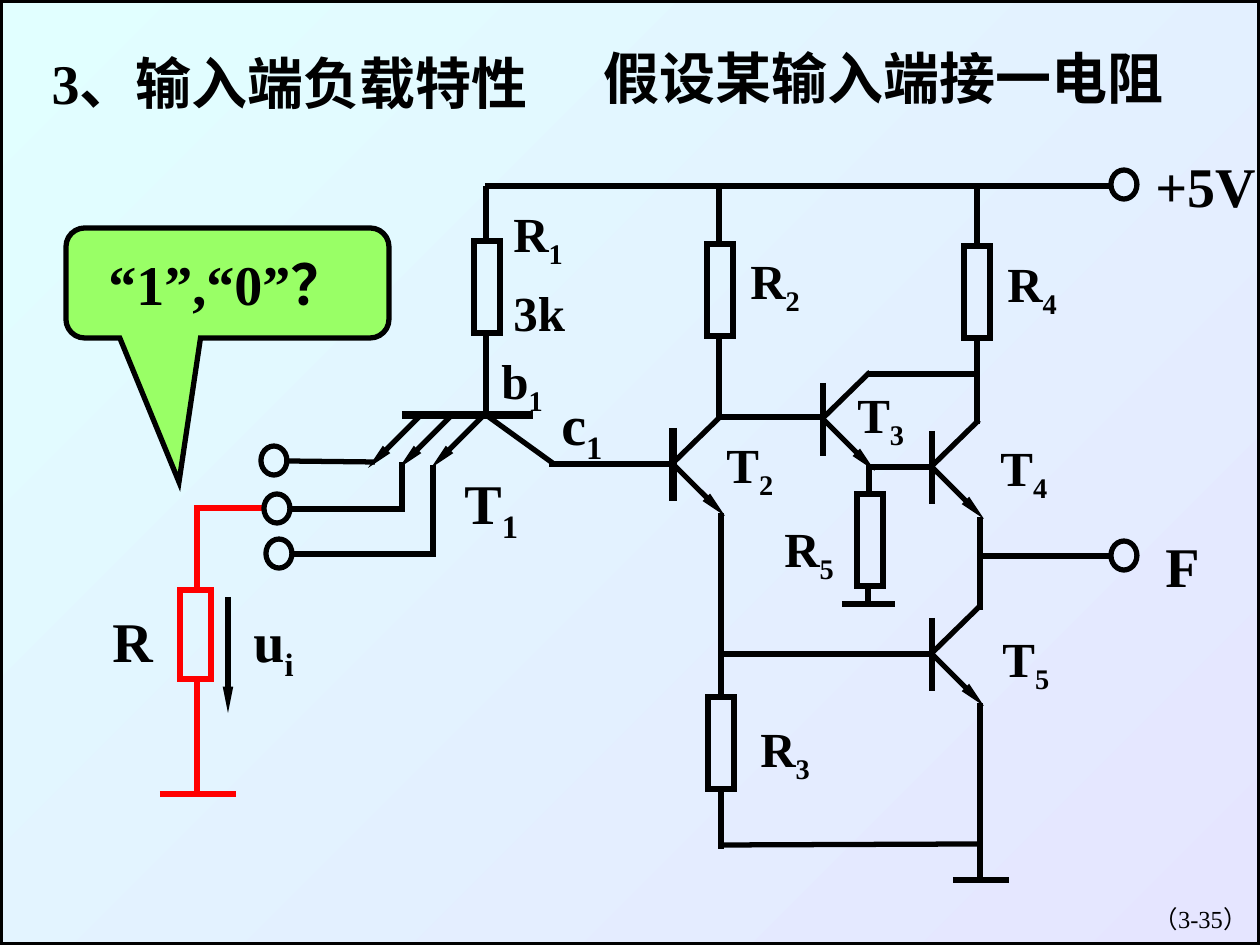
from lxml.etree import SubElement
from pptx import Presentation
from pptx.dml.color import RGBColor
from pptx.enum.shapes import MSO_CONNECTOR, MSO_SHAPE
from pptx.enum.text import MSO_ANCHOR, PP_ALIGN
from pptx.oxml.ns import qn
from pptx.util import Pt

EMU_PER_PX = 914400 / 126
BLACK, RED, GREEN = "000000", "FF0000", "99FF66"


def px(*lengths):
    """Turn whole pixels into EMU."""
    return [round(length * EMU_PER_PX) for length in lengths]


def colour(value):
    """Turn a hex string into a colour."""
    return RGBColor.from_string(value)


def write(frame, text, sub="", size=32, bold=True, align=PP_ALIGN.LEFT,
          anchor=MSO_ANCHOR.TOP, wrap=True):
    """Write text with an optional subscript into a text frame."""
    frame.word_wrap = wrap
    frame.vertical_anchor = anchor
    paragraph = frame.paragraphs[0]
    paragraph.alignment = align
    for part in filter(None, (text, sub)):
        run = paragraph.add_run()
        run.text = part
        run.font.name = "Times New Roman"
        run.font.size = Pt(size)
        run.font.bold = bold
        run.font.color.rgb = colour(BLACK)
    if sub:
        run.font._element.set("baseline", "-25000")


class Circuit:
    """Hold the slide and the line style of the circuit."""

    def __init__(self, slide, weight=3, heavy=4.5):
        """Keep the slide and its line weights."""
        self.slide, self.weight, self.heavy = slide, weight, heavy

    def outline(self, kind, x, y, w, h, line=BLACK, fill=None):
        """Draw a preset shape with sharp corners."""
        shape = self.slide.shapes.add_shape(kind, *px(x, y, w, h))
        shape.shadow.inherit = False
        shape.line.color.rgb = colour(line)
        shape.line.width = Pt(self.weight)
        SubElement(shape.line._get_or_add_ln(), qn("a:miter"), lim="800000")
        if fill:
            shape.fill.solid()
            shape.fill.fore_color.rgb = colour(fill)
        else:
            shape.fill.background()
        return shape

    def backdrop(self, start, end):
        """Draw the framed gradient behind everything."""
        panel = self.outline(MSO_SHAPE.RECTANGLE, 0, 0, 1260, 945)
        panel.fill.gradient()
        panel.fill.gradient_angle = 315
        for stop, value in zip(panel.fill.gradient_stops, (start, end)):
            stop.color.rgb = colour(value)
        self.slide.shapes.title.element.addprevious(panel.element)

    def title(self, text, x, y, w, h):
        """Fill and place the title placeholder."""
        heading = self.slide.shapes.title
        heading.left, heading.top, heading.width, heading.height = px(x, y, w, h)
        write(heading.text_frame, text)

    def label(self, text, x, y, w, h=81, **style):
        """Place a text label."""
        box = self.slide.shapes.add_textbox(*px(x, y, w, h))
        write(box.text_frame, text, **style)

    def callout(self, text, x, y, w, h):
        """Draw the speech bubble."""
        bubble = self.outline(MSO_SHAPE.ROUNDED_RECTANGULAR_CALLOUT, x, y, w, h, fill=GREEN)
        for index, value in enumerate((-0.15, 1.81, 0.17)):
            bubble.adjustments[index] = value
        write(bubble.text_frame, text, align=PP_ALIGN.CENTER,
              anchor=MSO_ANCHOR.MIDDLE, wrap=False)

    def wire(self, x1, y1, x2, y2, line=BLACK, weight=None, arrow=False):
        """Draw a straight wire, with an arrowhead if asked."""
        wire = self.slide.shapes.add_connector(MSO_CONNECTOR.STRAIGHT, *px(x1, y1, x2, y2))
        wire.line.color.rgb = colour(line)
        wire.line.width = Pt(weight or self.weight)
        if arrow:
            SubElement(wire.line._get_or_add_ln(), qn("a:tailEnd"),
                       type="triangle", w="sm", len="lg")
        SubElement(wire.element.spPr, qn("a:effectLst"))

    def resistor(self, x, y, w=26, h=92, line=BLACK):
        """Draw a resistor body."""
        self.outline(MSO_SHAPE.RECTANGLE, x, y, w, h, line=line)

    def terminal(self, x, y):
        """Draw an open terminal."""
        self.outline(MSO_SHAPE.OVAL, x, y, 26, 29)

    def transistor(self, x, y, weight=None):
        """Draw base bar, emitter arrow and collector around the base point."""
        self.wire(x, y - 36, x, y + 37, weight=weight)
        self.wire(x, y, x + 52, y + 52, arrow=True)
        self.wire(x, y - 1, x + 47, y - 47)


RED_WIRES = [(194, 508, 265, 508), (197, 508, 197, 590),
             (197, 679, 197, 794), (160, 794, 236, 794)]
WIRES = [
    (486, 415, 486, 334), (486, 241, 486, 186), (485, 186, 1112, 186),
    (486, 415, 554, 464), (549, 464, 673, 464),
    (719, 417, 719, 336), (719, 244, 719, 186), (823, 417, 719, 417),
    (867, 374, 977, 374), (977, 338, 977, 424), (977, 246, 977, 186),
    (867, 467, 932, 467), (869, 465, 869, 494), (868, 585, 868, 604), (842, 604, 895, 604),
    (721, 513, 721, 697), (931, 654, 721, 654), (721, 788, 721, 849), (721, 845, 980, 844),
    (980, 517, 980, 610), (980, 703, 980, 880), (953, 880, 1009, 880), (980, 556, 1112, 556),
    (375, 462, 288, 461), (402, 462, 402, 512), (402, 509, 290, 509),
    (433, 465, 433, 557), (436, 554, 292, 554),
]
RESISTORS = [(474, 241), (707, 244), (708, 697), (964, 246), (857, 494)]
TERMINALS = [(1111, 170), (1111, 541), (261, 446), (264, 494), (266, 539)]
LARGE_LABELS = [("R", "", 100, 600, 78), ("u", "i", 241, 600, 121), ("+5V", "", 1143, 145, 173),
                ("F", "", 1153, 525, 102), ("T", "1", 452, 462, 100), ("c", "1", 549, 383, 139)]
SMALL_LABELS = [("R", "1", 501, 197, 145), ("3k", "", 501, 276, 170), ("R", "2", 738, 244, 145),
                ("R", "3", 748, 712, 142), ("R", "4", 995, 247, 145), ("R", "5", 772, 512, 87),
                ("T", "2", 714, 428, 84), ("T", "3", 845, 378, 136), ("T", "4", 988, 431, 92),
                ("T", "5", 990, 622, 92), ("b", "1", 489, 344, 110)]


def main():
    """Build the slide on the input load of the gate."""
    deck = Presentation()
    deck.slide_width, deck.slide_height = px(1260, 945)
    circuit = Circuit(deck.slides.add_slide(deck.slide_layouts[5]))
    circuit.backdrop("E1FFFF", "E5E5FF")
    circuit.title("3、输入端负载特性", 39, 42, 545, 81)
    circuit.label("假设某输入端接一电阻", 591, 37, 606)
    circuit.label("（3-35）", 998, 898, 262, 63, size=14, bold=False, align=PP_ALIGN.RIGHT)

    for ends in RED_WIRES:
        circuit.wire(*ends, line=RED)
    circuit.resistor(180, 590, 31, 89, line=RED)
    circuit.wire(228, 597, 228, 713, arrow=True)
    circuit.callout("“1”,“0”？", 66, 228, 323, 110)

    circuit.wire(402, 415, 533, 415, weight=circuit.heavy)
    for emitter in (484, 452, 421):
        circuit.wire(emitter, 415, emitter - 53, 468, arrow=True)
    circuit.transistor(673, 464, weight=circuit.heavy)
    for base in ((823, 419), (932, 467), (932, 654)):
        circuit.transistor(*base)
    for ends in WIRES:
        circuit.wire(*ends)
    for corner in RESISTORS:
        circuit.resistor(*corner)
    for corner in TERMINALS:
        circuit.terminal(*corner)
    for size, labels in ((32, LARGE_LABELS), (28, SMALL_LABELS)):
        for name, sub, x, y, w in labels:
            circuit.label(name, x, y, w, sub=sub, size=size)
    deck.save("out.pptx")


if __name__ == "__main__":
    main()
